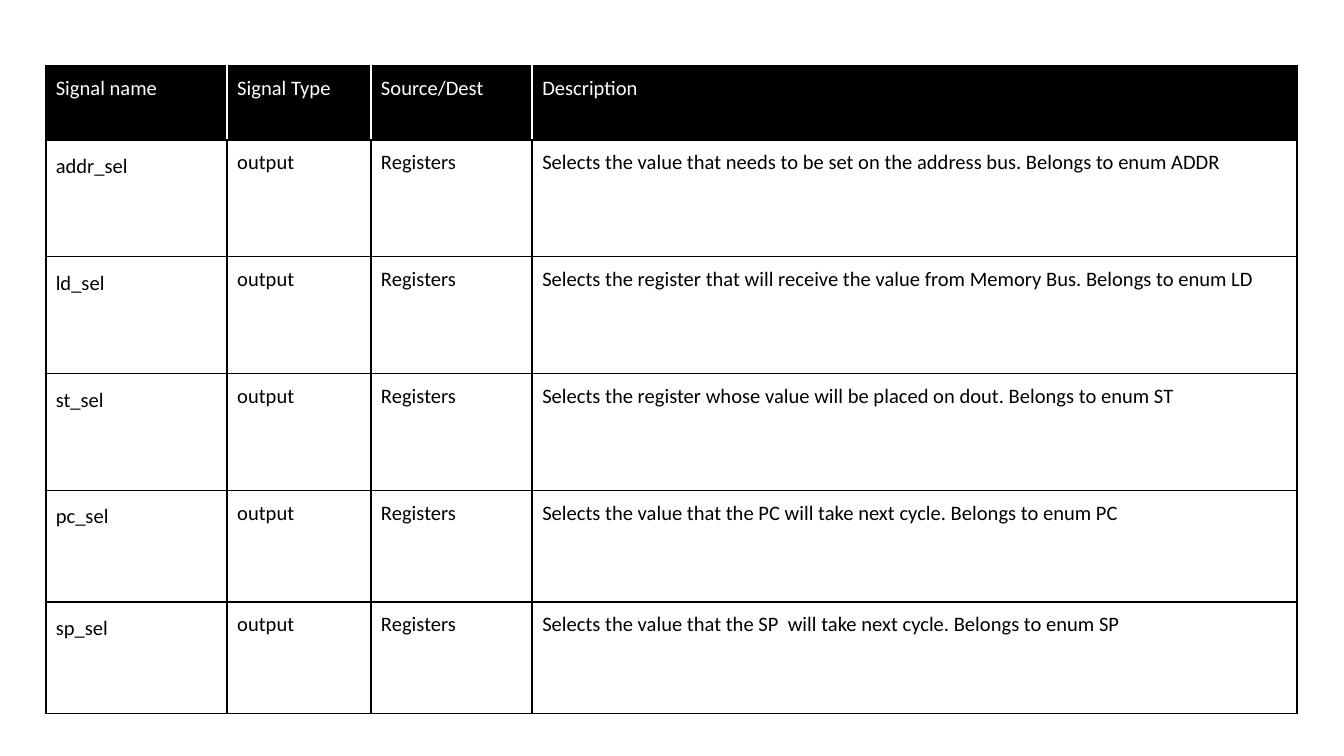
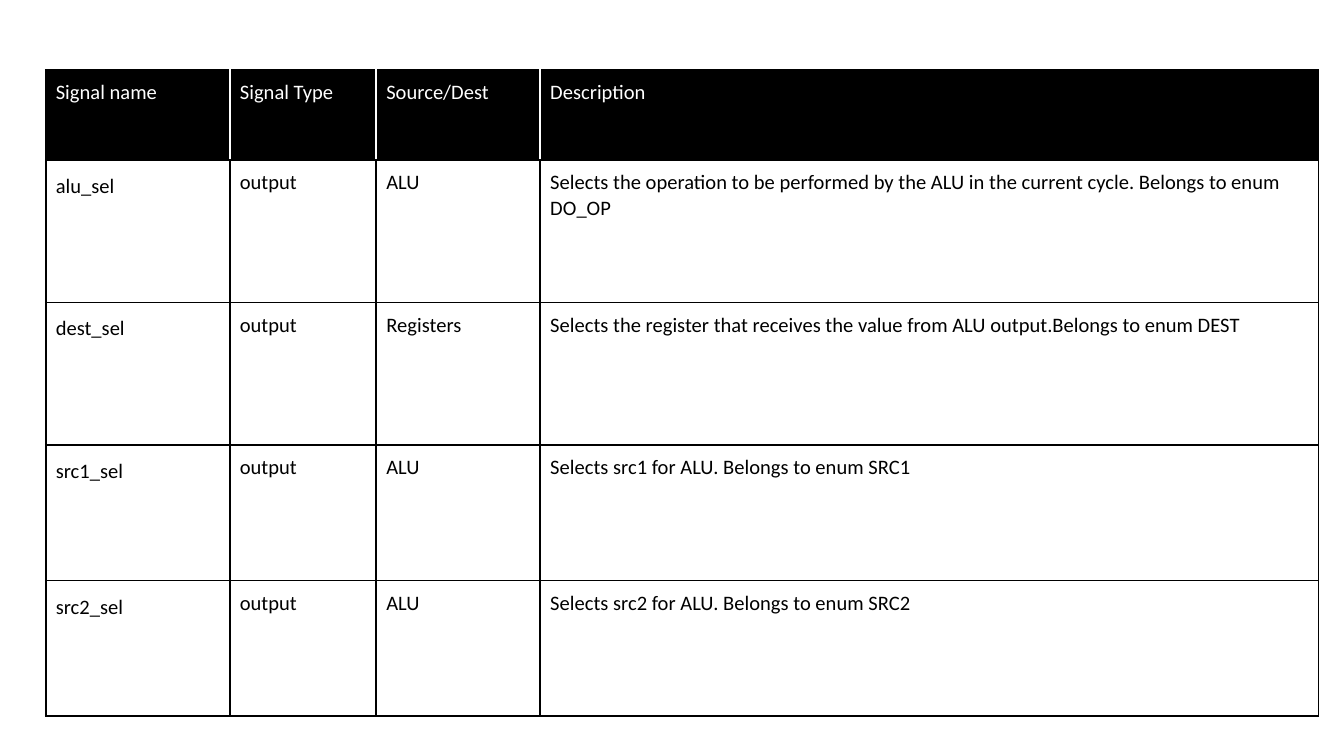
from dataclasses import dataclass

import pptx
import pptx.dml.color
import pptx.enum.text
import pptx.oxml.ns
import pptx.util
from lxml import etree

PX = 4572  # EMU per px, 200 px to the inch
SLIDE_WIDTH, SLIDE_HEIGHT = 2000, 1125
BLANK_LAYOUT = 6

COLORS = {"ink": "000000", "paper": "FFFFFF"}
HEADER = ("Signal name", "Signal Type", "Source/Dest", "Description")
SIGNAL_TYPE = "output"

INSET = 15 * PX
CELL_FORMAT = {
    "margin_left": INSET,
    "margin_right": INSET,
    "margin_top": INSET,
    "margin_bottom": INSET,
    "vertical_anchor": pptx.enum.text.MSO_ANCHOR.TOP,
}
FONT_FORMAT = {"name": "Calibri", "size": pptx.util.Pt(11), "bold": False}
SIGNAL_NAME_FORMAT = {"line_spacing": 1.15, "space_after": pptx.util.Pt(10)}


@dataclass(frozen=True)
class Signal:
    name: str
    target: str
    description: str


@dataclass(frozen=True)
class SignalTable:
    left: int
    top: int
    columns: tuple[int, ...]
    rows: tuple[int, ...]
    signals: tuple[Signal, ...]


SIGNAL_TABLES = (
    SignalTable(
        68, 98, (270, 214, 240, 1138), (110, 174, 174, 174, 166, 166),
        (
            Signal("addr_sel", "Registers",
                   "Selects the value that needs to be set on the address bus. Belongs to enum ADDR"),
            Signal("ld_sel", "Registers",
                   "Selects the register that will receive the value from Memory Bus. Belongs to enum LD"),
            Signal("st_sel", "Registers",
                   "Selects the register whose value will be placed on dout. Belongs to enum ST"),
            Signal("pc_sel", "Registers",
                   "Selects the value that the PC will take next cycle. Belongs to enum PC"),
            Signal("sp_sel", "Registers",
                   "Selects the value that the SP  will take next cycle. Belongs to enum SP"),
        ),
    ),
    SignalTable(
        68, 104, (274, 218, 244, 1158), (134, 212, 212, 202, 202),
        (
            Signal("alu_sel", "ALU",
                   "Selects the operation to be performed by the ALU in the current cycle. Belongs to enum DO_OP"),
            Signal("dest_sel", "Registers",
                   "Selects the register that receives the value from ALU output.Belongs to enum DEST"),
            Signal("src1_sel", "ALU", "Selects src1 for ALU. Belongs to enum SRC1"),
            Signal("src2_sel", "ALU", "Selects src2 for ALU. Belongs to enum SRC2"),
        ),
    ),
)


def apply_format(target: object, values: dict) -> None:
    for attribute, value in values.items():
        setattr(target, attribute, value)


def rgb(color: str) -> pptx.dml.color.RGBColor:
    return pptx.dml.color.RGBColor.from_string(COLORS[color])


def add_border(cell, side: str, color: str) -> None:
    qn = pptx.oxml.ns.qn
    properties = cell._tc.get_or_add_tcPr()
    line = etree.SubElement(properties, qn(f"a:ln{side}"), w=str(pptx.util.Pt(1)))
    solid = etree.SubElement(line, qn("a:solidFill"))
    etree.SubElement(solid, qn("a:srgbClr"), val=COLORS[color])


def fill_cell(cell, text: str, row: int, column: int) -> None:
    is_header = row == 0
    apply_format(cell, CELL_FORMAT)

    # Borders: white between header cells, black elsewhere
    inner_left = is_header and column > 0
    inner_right = is_header and column < len(HEADER) - 1
    add_border(cell, "L", "paper" if inner_left else "ink")
    add_border(cell, "R", "paper" if inner_right else "ink")
    add_border(cell, "T", "ink")
    add_border(cell, "B", "ink")

    # Fill
    if is_header:
        cell.fill.solid()
        cell.fill.fore_color.rgb = rgb("ink")
    else:
        cell.fill.background()

    # Text
    paragraph = cell.text_frame.paragraphs[0]
    if column == 0 and not is_header:
        apply_format(paragraph, SIGNAL_NAME_FORMAT)
    run = paragraph.add_run()
    run.text = text
    apply_format(run.font, FONT_FORMAT)
    run.font.color.rgb = rgb("paper" if is_header else "ink")


def draw_signal_table(slide, layout: SignalTable) -> None:
    table = slide.shapes.add_table(
        len(layout.rows), len(layout.columns),
        layout.left * PX, layout.top * PX,
        sum(layout.columns) * PX, sum(layout.rows) * PX,
    ).table
    apply_format(table, {"first_row": False, "horz_banding": False})
    for column, width in zip(table.columns, layout.columns):
        column.width = width * PX
    for row, height in zip(table.rows, layout.rows):
        row.height = height * PX

    entries = [HEADER] + [
        (signal.name, SIGNAL_TYPE, signal.target, signal.description)
        for signal in layout.signals
    ]
    for row_index, entry in enumerate(entries):
        for column_index, text in enumerate(entry):
            fill_cell(table.cell(row_index, column_index), text, row_index, column_index)


def main() -> None:
    presentation = pptx.Presentation()
    presentation.slide_width = SLIDE_WIDTH * PX
    presentation.slide_height = SLIDE_HEIGHT * PX
    for layout in SIGNAL_TABLES:
        slide = presentation.slides.add_slide(presentation.slide_layouts[BLANK_LAYOUT])
        draw_signal_table(slide, layout)
    presentation.save("out.pptx")


if __name__ == "__main__":
    main()
